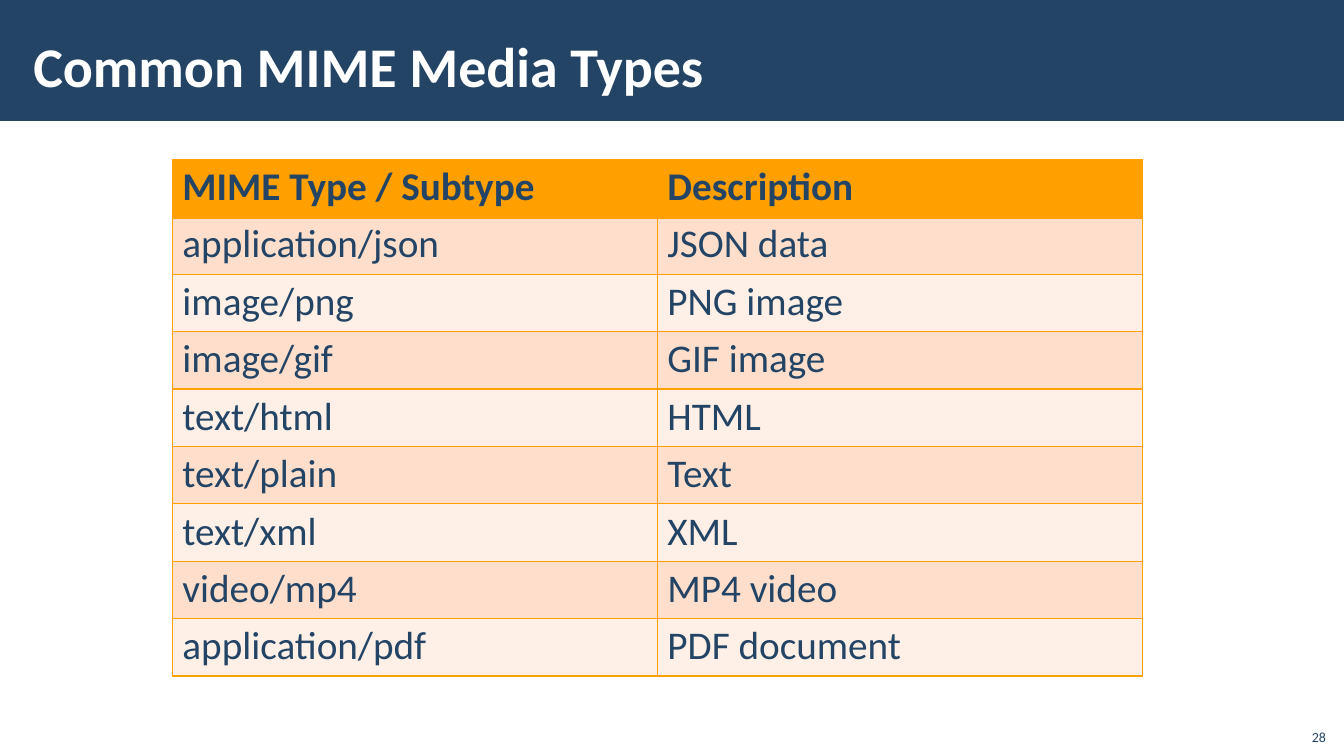
import pptx
import pptx.util
import pptx.dml.color
import pptx.enum.shapes
import pptx.enum.text
import pptx.oxml
import pptx.oxml.ns

Inches, Pt = pptx.util.Inches, pptx.util.Pt
Align, Anchor = pptx.enum.text.PP_ALIGN, pptx.enum.text.MSO_ANCHOR

# Content
TITLE = "Common MIME Media Types"
PAGE_NUMBER = "28"
MEDIA_TYPES = [
    ("MIME Type / Subtype", "Description"),
    ("application/json", "JSON data"),
    ("image/png", "PNG image"),
    ("image/gif", "GIF image"),
    ("text/html", "HTML"),
    ("text/plain", "Text"),
    ("text/xml", "XML"),
    ("video/mp4", "MP4 video"),
    ("application/pdf", "PDF document"),
]

# Style and grid
NAVY, ORANGE, WHITE = "234465", "FFA000", "FFFFFF"
BANDS = ["FFF0E7", "FFDFCC"]
WIDTH, HEIGHT = 13.33, 7.5
COLUMN, ROW = 4.81, 0.57


def color(hex_string):
    return pptx.dml.color.RGBColor.from_string(hex_string)


def paint(target, hex_string):
    target.fill.solid()
    target.fill.fore_color.rgb = color(hex_string)


def write(frame, text, size=28, ink=NAVY, bold=False, align=Align.LEFT,
          anchor=Anchor.TOP, margins=(0.1, 0.05)):
    frame.word_wrap = True
    frame.auto_size = pptx.enum.text.MSO_AUTO_SIZE.NONE
    frame.vertical_anchor = anchor
    frame.margin_left = frame.margin_right = Inches(margins[0])
    frame.margin_top = frame.margin_bottom = Inches(margins[1])
    paragraph = frame.paragraphs[0]
    paragraph.alignment = align
    run = paragraph.add_run()
    run.text = text
    run.font.name, run.font.size, run.font.bold = "Calibri", Pt(size), bold
    run.font.color.rgb = color(ink)


def add_borders(cell, bottom):
    properties = cell._tc.get_or_add_tcPr()
    for side, points in (("L", 1), ("R", 1), ("T", 1), ("B", bottom)):
        properties.append(pptx.oxml.parse_xml(
            f'<a:ln{side} {pptx.oxml.ns.nsdecls("a")} w="{Pt(points)}"><a:solidFill>'
            f'<a:srgbClr val="{ORANGE}"/></a:solidFill></a:ln{side}>'))


def main():
    deck = pptx.Presentation()
    deck.slide_width, deck.slide_height = Inches(WIDTH), Inches(HEIGHT)
    slide = deck.slides.add_slide(deck.slide_layouts[5])

    # Header band, placed behind the title
    band = slide.shapes.add_shape(pptx.enum.shapes.MSO_SHAPE.RECTANGLE,
                                  0, 0, deck.slide_width, Inches(HEIGHT * 0.16))
    band.shadow.inherit = False
    band.line.fill.background()
    paint(band, NAVY)
    title = slide.shapes.title
    title.element.addprevious(band.element)
    title.left, title.top = Inches(0.21), Inches(0.04)
    title.width, title.height = Inches(10.47), Inches(1.21)
    write(title.text_frame, TITLE, size=40, ink=WHITE, bold=True,
          anchor=Anchor.MIDDLE, margins=(0.12, 0.04))

    # Media type table
    rows, columns = len(MEDIA_TYPES), len(MEDIA_TYPES[0])
    table = slide.shapes.add_table(rows, columns, Inches(1.71), Inches(1.58),
                                   Inches(COLUMN * columns), Inches(ROW * rows)).table
    for column in table.columns:
        column.width = Inches(COLUMN)
    for r, entry in enumerate(MEDIA_TYPES):
        table.rows[r].height = Inches(ROW)
        header = r == 0
        for c, text in enumerate(entry):
            cell = table.cell(r, c)
            add_borders(cell, bottom=3 if header else 1)
            paint(cell, ORANGE if header else BANDS[r % 2])
            cell.margin_top = cell.margin_bottom = Inches(0.04)
            write(cell.text_frame, text, bold=header, margins=(0.1, 0.04))

    # Page number
    number = slide.shapes.add_textbox(Inches(12.85), Inches(7.12), Inches(0.4), Inches(0.32))
    write(number.text_frame, PAGE_NUMBER, size=10, align=Align.RIGHT, anchor=Anchor.BOTTOM)

    deck.save("out.pptx")


if __name__ == "__main__":
    main()
